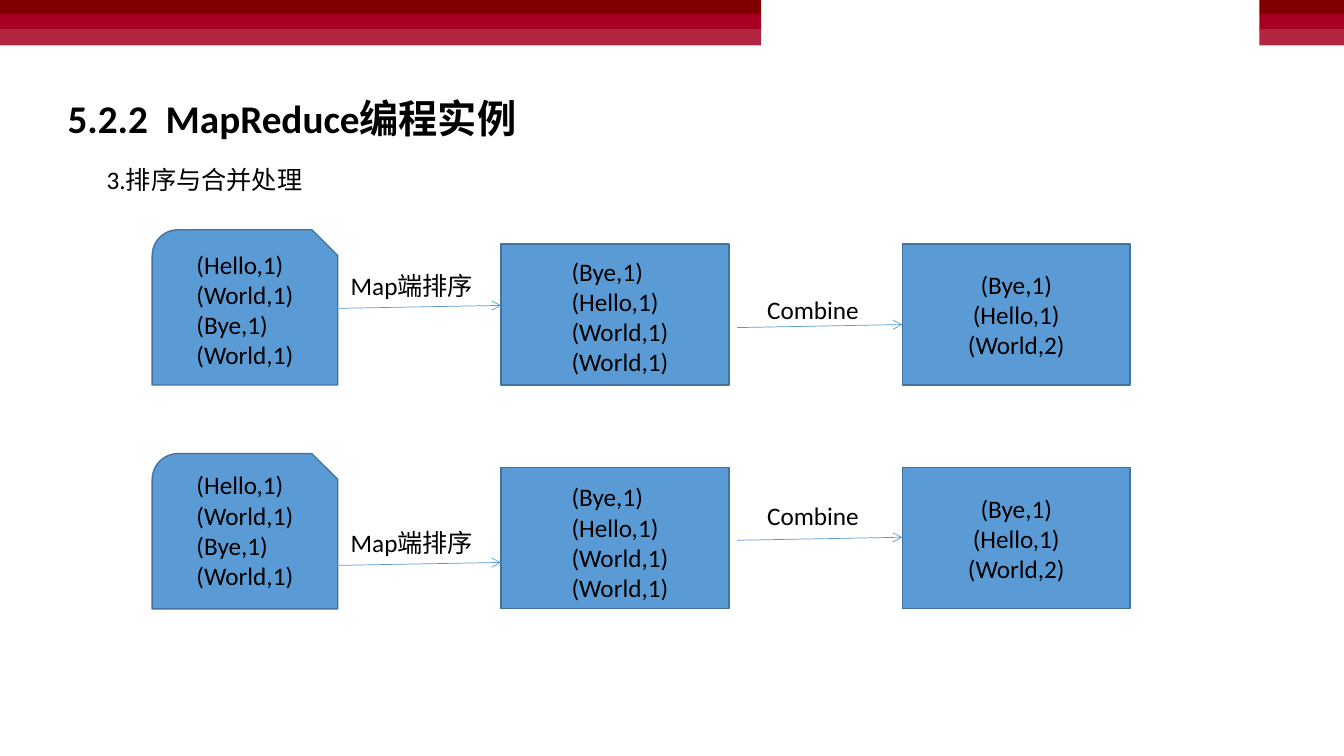
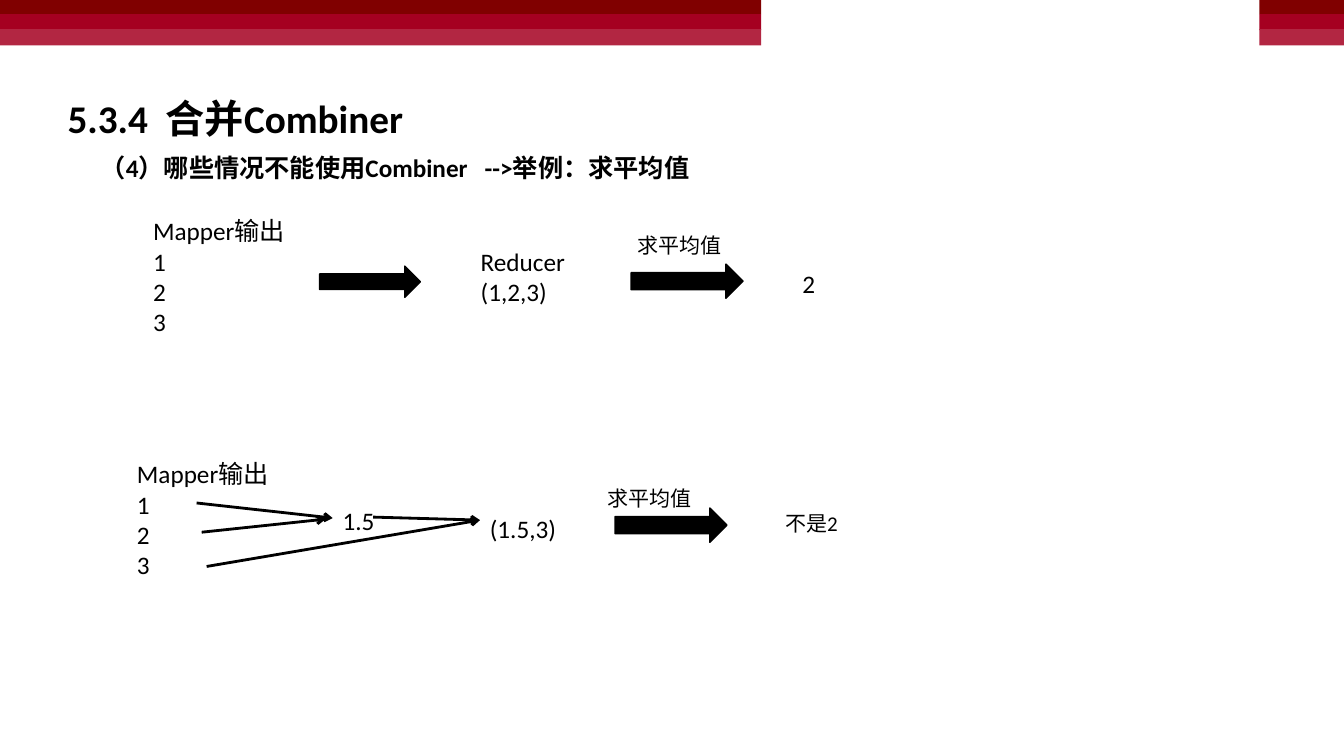
from lxml import etree
from pptx import Presentation
from pptx.dml.color import RGBColor
from pptx.enum.shapes import MSO_CONNECTOR, MSO_SHAPE
from pptx.enum.text import MSO_ANCHOR, MSO_AUTO_SIZE, PP_ALIGN
from pptx.oxml.ns import qn
from pptx.util import Inches, Pt

RECTANGLE = MSO_SHAPE.RECTANGLE
SNIPPED = MSO_SHAPE.SNIP_ROUND_RECTANGLE
BLOCK_ARROW = MSO_SHAPE.RIGHT_ARROW
STRAIGHT = MSO_CONNECTOR.STRAIGHT
TOP, MIDDLE = MSO_ANCHOR.TOP, MSO_ANCHOR.MIDDLE
LEFT, CENTER = PP_ALIGN.LEFT, PP_ALIGN.CENTER
GROW, NO_FIT = MSO_AUTO_SIZE.SHAPE_TO_FIT_TEXT, MSO_AUTO_SIZE.NONE

BLACK = RGBColor(0x00, 0x00, 0x00)
WHITE = RGBColor(0xFF, 0xFF, 0xFF)
MAROON = RGBColor(0x80, 0x00, 0x00)
CRIMSON = RGBColor(0xA5, 0x00, 0x21)
ROSE = RGBColor(0xB2, 0x26, 0x42)
BLUE = RGBColor(0x5B, 0x9B, 0xD5)
DARK_BLUE = RGBColor(0x43, 0x73, 0x9E)

FONT = "Calibri"
BANDS = [(0, 0.14, MAROON), (0.14, 0.16, CRIMSON), (0.29, 0.16, ROSE)]
BAND_SPANS = [(0, 7.55), (12.49, 0.84)]
FIRST_BAND_ID = 20

MAP_OUTPUT = ["(Hello,1)", "(World,1)", "(Bye,1)", "(World,1)"]
SORTED_PAIRS = ["(Bye,1)", "(Hello,1)", "(World,1)", "(World,1)"]
COMBINED_PAIRS = ["(Bye,1)", "(Hello,1)", "(World,2)"]
MAPPER_LINES = ["Mapper输出", "1", "2", "3"]


def write_lines(frame, lines, size=18, bold=False, align=LEFT):
    for index, line in enumerate(lines):
        paragraph = frame.add_paragraph() if index else frame.paragraphs[0]
        paragraph.alignment = align
        run = paragraph.add_run()
        run.text = line
        run.font.name = FONT
        run.font.size = Pt(size)
        run.font.bold = bold
        run.font.color.rgb = BLACK


def add_text(slide, left, top, width, height, lines, size=18, bold=False, fill=None):
    box = slide.shapes.add_textbox(Inches(left), Inches(top), Inches(width), Inches(height))
    box.text_frame.word_wrap = True
    box.text_frame.auto_size = GROW
    if fill is not None:
        box.fill.solid()
        box.fill.fore_color.rgb = fill
    write_lines(box.text_frame, lines, size, bold)


def add_box(slide, preset, left, top, width, height, fill, line=None):
    box = slide.shapes.add_shape(
        preset, Inches(left), Inches(top), Inches(width), Inches(height))
    box.shadow.inherit = False
    box.fill.solid()
    box.fill.fore_color.rgb = fill
    if line is None:
        box.line.fill.background()
    else:
        box.line.color.rgb = line
        box.line.width = Pt(1)
    return box


def add_arrow(slide, start, end, color, width):
    arrow = slide.shapes.add_connector(STRAIGHT, *map(Inches, start + end))
    arrow.line.color.rgb = color
    arrow.line.width = Pt(width)
    properties = arrow.element.spPr
    etree.SubElement(properties.find(qn("a:ln")), qn("a:tailEnd"), type="arrow")
    etree.SubElement(properties, qn("a:effectLst"))


def add_title(slide, text):
    title = slide.shapes.title
    title.left, title.top = Inches(0.57), Inches(0.89)
    title.width, title.height = Inches(10.56), Inches(0.57)
    title.text_frame.word_wrap = True
    title.text_frame.auto_size = NO_FIT
    title.text_frame.vertical_anchor = TOP
    write_lines(title.text_frame, [text], 28, True)


def move_bands_to_layout(slide, layout):
    """Draw the header bands and hand them to the layout, for all slides."""
    bands = [add_box(slide, RECTANGLE, left, top, width, height, color)
             for left, width in BAND_SPANS
             for top, height, color in BANDS]
    for band_id, band in enumerate(bands, FIRST_BAND_ID):
        band.element.nvSpPr.cNvPr.set("id", str(band_id))
        layout.shapes.element.append(band.element)


def add_pipeline(slide, top, input_top, sorted_top, map_label_top, map_arrow_y,
                 combine_label_top, combine_arrow_y):
    """One row: map output, sorted pairs, combined pairs."""
    # Stages
    add_box(slide, SNIPPED, 1.51, top - 0.14, 1.84, 1.54, BLUE, DARK_BLUE)
    add_text(slide, 1.85, input_top, 2.21, 1.31, MAP_OUTPUT)
    add_box(slide, RECTANGLE, 4.97, top, 2.26, 1.4, BLUE, DARK_BLUE)
    add_text(slide, 5.57, sorted_top, 2.21, 1.31, SORTED_PAIRS)
    combined = add_box(slide, RECTANGLE, 8.95, top, 2.26, 1.4, BLUE, DARK_BLUE)
    combined.text_frame.vertical_anchor = MIDDLE
    write_lines(combined.text_frame, COMBINED_PAIRS, align=CENTER)

    # Steps between the stages
    add_text(slide, 3.38, map_label_top, 1.72, 0.4, ["Map端排序"])
    add_arrow(slide, (3.3, map_arrow_y), (4.97, map_arrow_y - 0.03), BLUE, 0.5)
    add_text(slide, 7.51, combine_label_top, 1.25, 0.4, ["Combine"])
    add_arrow(slide, (7.31, combine_arrow_y), (8.95, combine_arrow_y - 0.03), BLUE, 0.5)


def add_average_step(slide, left, top, width, height):
    add_box(slide, BLOCK_ARROW, left, top, width, height, BLACK, BLACK)


def build_sort_slide(slide):
    add_title(slide, "5.2.2  MapReduce编程实例")
    add_text(slide, 0.96, 1.58, 2.92, 0.4, ["3.排序与合并处理"])
    add_pipeline(slide, top=2.42, input_top=2.42, sorted_top=2.49,
                 map_label_top=2.63, map_arrow_y=3.06,
                 combine_label_top=2.87, combine_arrow_y=3.25)
    add_pipeline(slide, top=4.64, input_top=4.61, sorted_top=4.73,
                 map_label_top=5.18, map_arrow_y=5.61,
                 combine_label_top=4.91, combine_arrow_y=5.36)


def build_combiner_slide(slide):
    add_title(slide, "5.3.4  合并Combiner")
    add_text(slide, 0.9, 1.46, 9, 0.4,
             ["（4）哪些情况不能使用Combiner   -->举例：求平均值"], bold=True)

    # Without a combiner
    add_text(slide, 1.42, 2.09, 2.21, 1.31, MAPPER_LINES)
    add_average_step(slide, 3.17, 2.64, 1, 0.31)
    add_text(slide, 4.67, 2.39, 1.46, 0.71, ["Reducer", "(1,2,3)"])
    add_average_step(slide, 6.26, 2.62, 1.11, 0.34)
    add_text(slide, 6.22, 2.26, 1.46, 0.35, ["求平均值"], 15, fill=WHITE)
    add_text(slide, 7.86, 2.61, 1.46, 0.4, ["2"])

    # With a combiner
    add_text(slide, 1.26, 4.5, 2.21, 1.31, MAPPER_LINES)
    add_text(slide, 3.3, 4.96, 1.46, 0.4, ["1.5"])
    add_text(slide, 4.76, 5.04, 1.46, 0.4, ["(1.5,3)"])
    for start, end in [((1.95, 4.99), (3.3, 5.14)), ((2, 5.28), (3.23, 5.15)),
                       ((3.7, 5.13), (4.76, 5.16)), ((2.05, 5.62), (4.76, 5.16))]:
        add_arrow(slide, start, end, BLACK, 2)
    add_average_step(slide, 6.1, 5.04, 1.11, 0.34)
    add_text(slide, 5.93, 4.77, 1.46, 0.35, ["求平均值"], 15)
    add_text(slide, 7.69, 5.02, 1.46, 0.35, ["不是2"], 15)


def main():
    deck = Presentation()
    deck.slide_width, deck.slide_height = Inches(13.33), Inches(7.5)
    title_only = deck.slide_layouts[5]
    sort_slide = deck.slides.add_slide(title_only)
    move_bands_to_layout(sort_slide, title_only)
    build_sort_slide(sort_slide)
    build_combiner_slide(deck.slides.add_slide(title_only))
    deck.save("out.pptx")


main()
